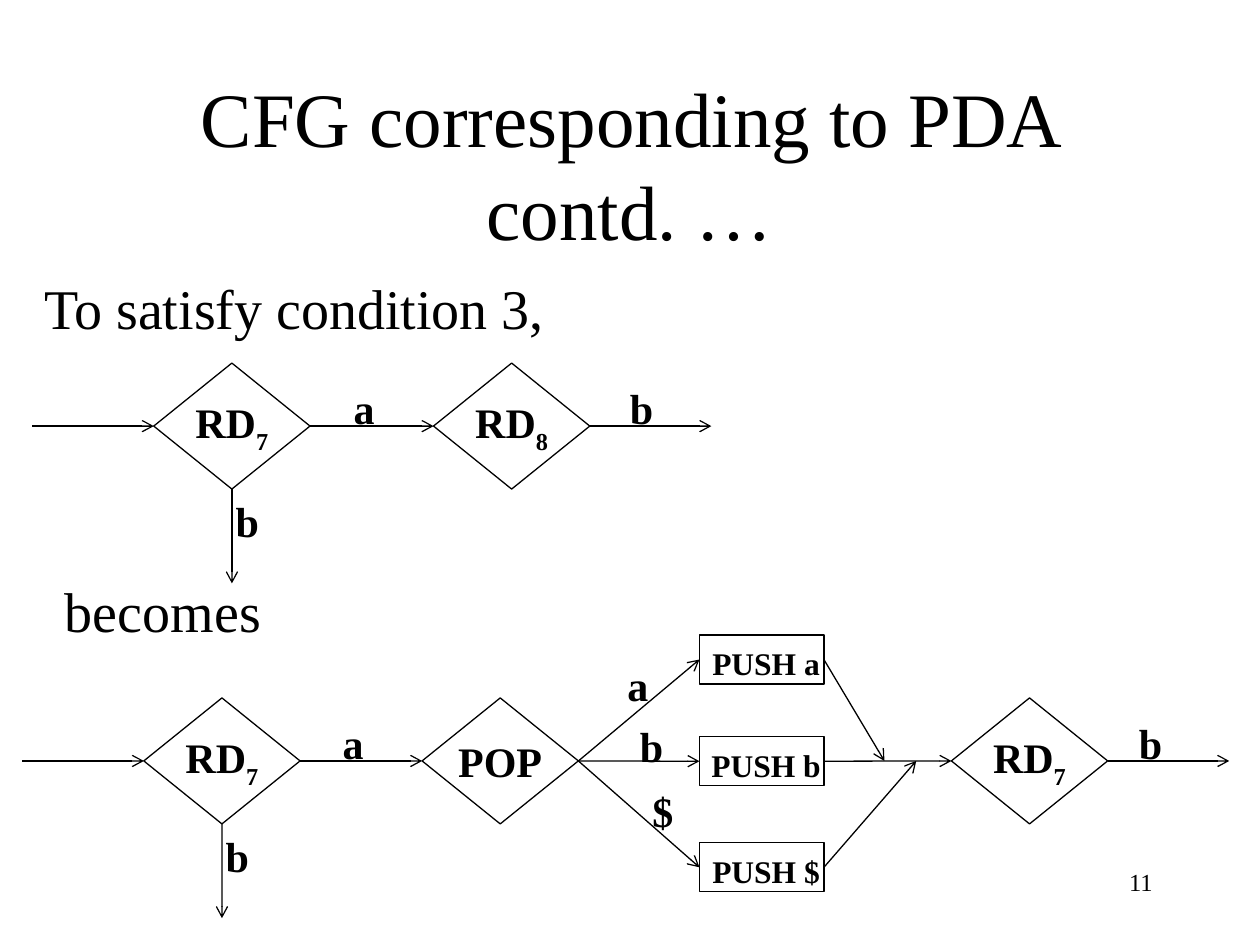
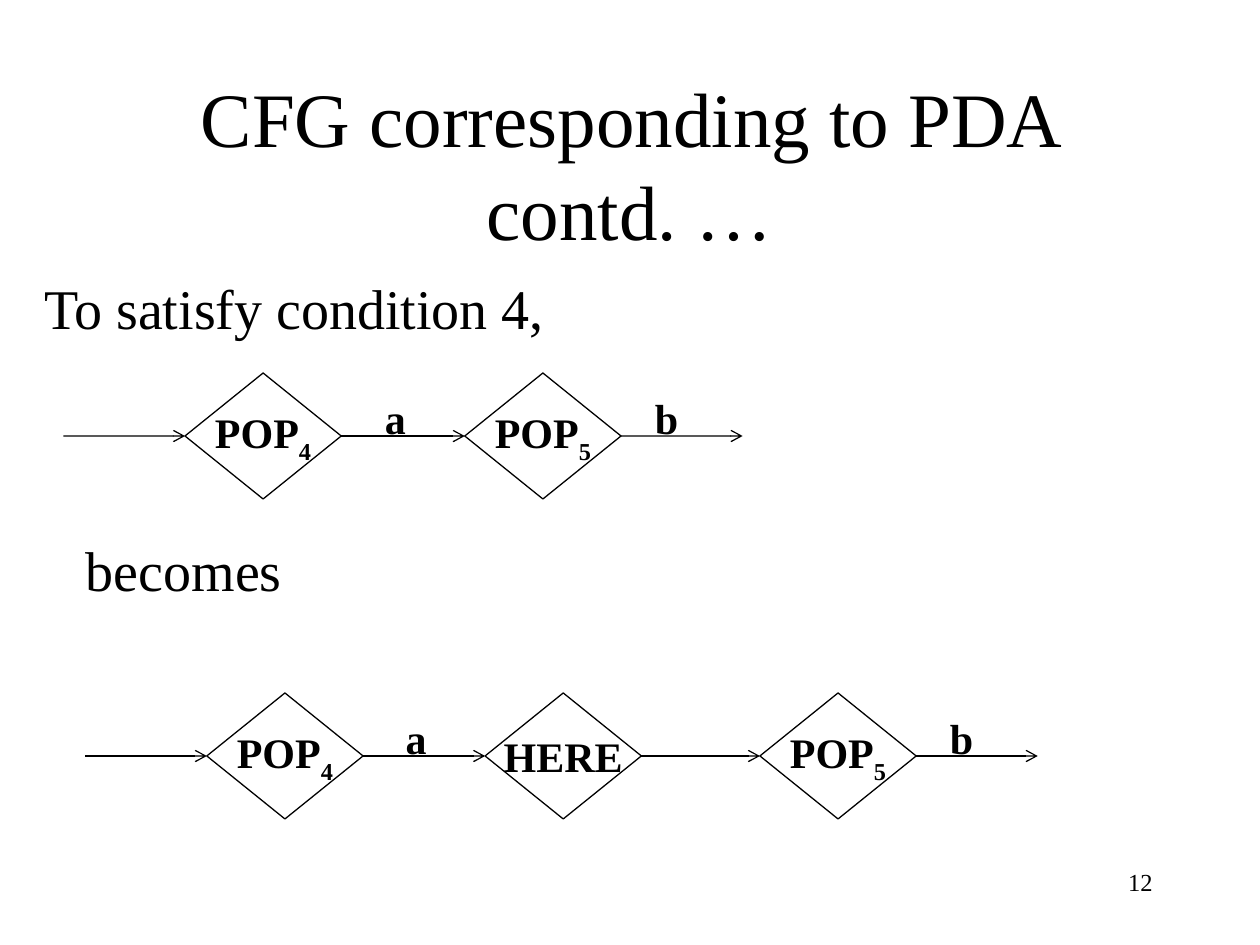
from lxml import etree
from pptx import Presentation
from pptx.dml.color import RGBColor
from pptx.enum import shapes, text
from pptx.oxml.ns import qn
from pptx.util import Cm, Pt

COLORS = {"ink": "000000", "paper": "FFFFFF"}
INK = RGBColor.from_string(COLORS["ink"])
FONT = "Times New Roman"
LEFT, CENTER, RIGHT = text.PP_ALIGN.LEFT, text.PP_ALIGN.CENTER, text.PP_ALIGN.RIGHT
TOP_SIDE, LEFT_SIDE, BOTTOM_SIDE, RIGHT_SIDE = range(4)

DIAMOND_W, DIAMOND_H = 3.15, 2.54
PUSH_X, PUSH_W, PUSH_H = 14.1, 2.51, 0.99
LEAD, DROP = 2.45, 1.9  # free arrows: into and out of a row, and downwards


def write(sp, words, size, bold=False, align=CENTER, subscript=""):
    tf = sp.text_frame
    tf.auto_size = text.MSO_AUTO_SIZE.NONE
    p = tf.paragraphs[0]
    p.alignment = align
    p.font.name, p.font.size, p.font.bold = FONT, Pt(size), bold
    p.font.color.rgb = INK
    p.add_run().text = words
    if subscript:
        r = p.add_run()
        r.text = subscript
        r._r.get_or_add_rPr().set("baseline", "-30000")


def arrow(s, start, end):
    """Draw an arrow; each end is an (x, y) point in cm or a (shape, side) pair."""
    points = [(0, 0) if hasattr(e[0], "shape_id") else e for e in (start, end)]
    line = s.shapes.add_connector(shapes.MSO_CONNECTOR.STRAIGHT,
                                  *(Cm(v) for point in points for v in point))
    if hasattr(start[0], "shape_id"):
        line.begin_connect(*start)
    if hasattr(end[0], "shape_id"):
        line.end_connect(*end)
    line.line.color.rgb = INK
    line.line.width = Pt(0.75)
    etree.SubElement(line.line._get_or_add_ln(), qn("a:tailEnd"), type="arrow")
    etree.SubElement(line._element.spPr, qn("a:effectLst"))


# Each row: top, has a downward exit, then diamonds as
# (name, subscript, left, label of the arrow that leaves it, label left).
# A label of None means that no arrow leaves straight for the next diamond.
SLIDES = [
    {"number": "11", "heading": "To satisfy condition 3,", "becomes": (1.06, 11.5),
     "rows": [
         (7.32, True, [("RD", "7", 3.1, "a", 6.88), ("RD", "8", 8.74, "b", 12.45)]),
         (14.07, True, [("RD", "7", 2.9, "a", 6.66), ("POP", "", 8.51, None, 0),
                        ("RD", "7", 19.18, "b", 22.71)])]},
    {"number": "12", "heading": "To satisfy condition 4,", "becomes": (1.48, 10.67),
     "rows": [
         (7.52, False, [("POP", "4", 3.73, "a", 7.51), ("POP", "5", 9.37, "b", 12.95)]),
         (13.97, False, [("POP", "4", 4.17, "a", 7.93), ("HERE", "", 9.78, "", 0),
                         ("POP", "5", 15.32, "b", 18.9)])]},
]
# Symbol, top of its PUSH box, label position, point where its branch rejoins
BRANCHES = [("a", 12.8, (12.4, 13.18), (17.83, 15.34)),
            ("b", 14.85, (12.65, 14.4), None),
            ("$", 16.99, (12.9, 15.72), (18.47, 15.34))]

prs = Presentation()
prs.slide_width, prs.slide_height = Cm(25.4), Cm(19.05)

for spec_no, content in enumerate(SLIDES):
    s = prs.slides.add_slide(prs.slide_layouts[5])
    s.background.fill.solid()
    s.background.fill.fore_color.rgb = RGBColor.from_string(COLORS["paper"])

    title = s.shapes.title
    title.left, title.top, title.width, title.height = Cm(1.9), Cm(1.7), Cm(21.6), Cm(3.18)
    title.text_frame.vertical_anchor = text.MSO_ANCHOR.MIDDLE
    write(title, "CFG corresponding to PDA contd. …", 44)

    # Text boxes: words, left, top, width, height, size, bold, alignment
    boxes = [(content["heading"], 0.64, 5.38, 11.43, 1.63, 32, False, LEFT),
             ("becomes", *content["becomes"], 6.35, 1.63, 32, False, LEFT),
             (content["number"], 18.21, 17.35, 5.28, 1.27, 14, False, RIGHT)]
    labels = []

    for top, has_drop, diamonds in content["rows"]:
        middle = top + DIAMOND_H / 2
        row = []
        for name, subscript, left, _, _ in diamonds:
            sp = s.shapes.add_shape(shapes.MSO_SHAPE.FLOWCHART_DECISION,
                                    Cm(left), Cm(top), Cm(DIAMOND_W), Cm(DIAMOND_H))
            sp.shadow.inherit = False
            sp.fill.background()
            sp.line.color.rgb = INK
            sp.line.width = Pt(0.75)
            sp.text_frame.word_wrap = False
            sp.text_frame.vertical_anchor = text.MSO_ANCHOR.MIDDLE
            write(sp, name, 24, True, subscript=subscript)
            row.append(sp)

        first_left, last_right = diamonds[0][2], diamonds[-1][2] + DIAMOND_W
        arrow(s, (first_left - LEAD, middle), (row[0], LEFT_SIDE))
        targets = [(sp, LEFT_SIDE) for sp in row[1:]] + [(last_right + LEAD, middle)]
        for sp, target, (_, _, _, label, label_left) in zip(row, targets, diamonds):
            if label is not None:
                arrow(s, (sp, RIGHT_SIDE), target)
            if label:
                labels.append((label, label_left, top + 0.27))
        if has_drop:
            bottom, center = top + DIAMOND_H, first_left + DIAMOND_W / 2
            arrow(s, (row[0], BOTTOM_SIDE), (center, bottom + DROP))
            labels.append(("b", first_left + 1.4, bottom))

        # POP branches to one PUSH box per stack symbol
        if any(label is None for _, _, _, label, _ in diamonds):
            _, pop, read = row
            for symbol, push_top, label_at, rejoin in BRANCHES:
                push = s.shapes.add_shape(shapes.MSO_SHAPE.RECTANGLE, Cm(PUSH_X),
                                          Cm(push_top), Cm(PUSH_W), Cm(PUSH_H))
                push.shadow.inherit = False
                push.fill.background()
                push.line.color.rgb = INK
                push.line.width = Pt(0.75)
                tf = push.text_frame
                tf.word_wrap = False
                tf.vertical_anchor = text.MSO_ANCHOR.TOP
                tf.margin_left, tf.margin_right = Cm(0.23), Cm(0.05)
                tf.margin_top, tf.margin_bottom = Cm(0.18), Cm(0)
                write(push, f"PUSH {symbol}", 18, True)
                arrow(s, (pop, RIGHT_SIDE), (push, LEFT_SIDE))
                arrow(s, (push, RIGHT_SIDE), rejoin or (read, LEFT_SIDE))
                labels.append((symbol, *label_at))

    boxes += [(*label, 1.5, 1.27, 24, True, LEFT) for label in labels]
    for words, left, top, width, height, size, bold, align in boxes:
        box = s.shapes.add_textbox(Cm(left), Cm(top), Cm(width), Cm(height))
        box.text_frame.word_wrap = True
        write(box, words, size, bold, align)

prs.save("out.pptx")
